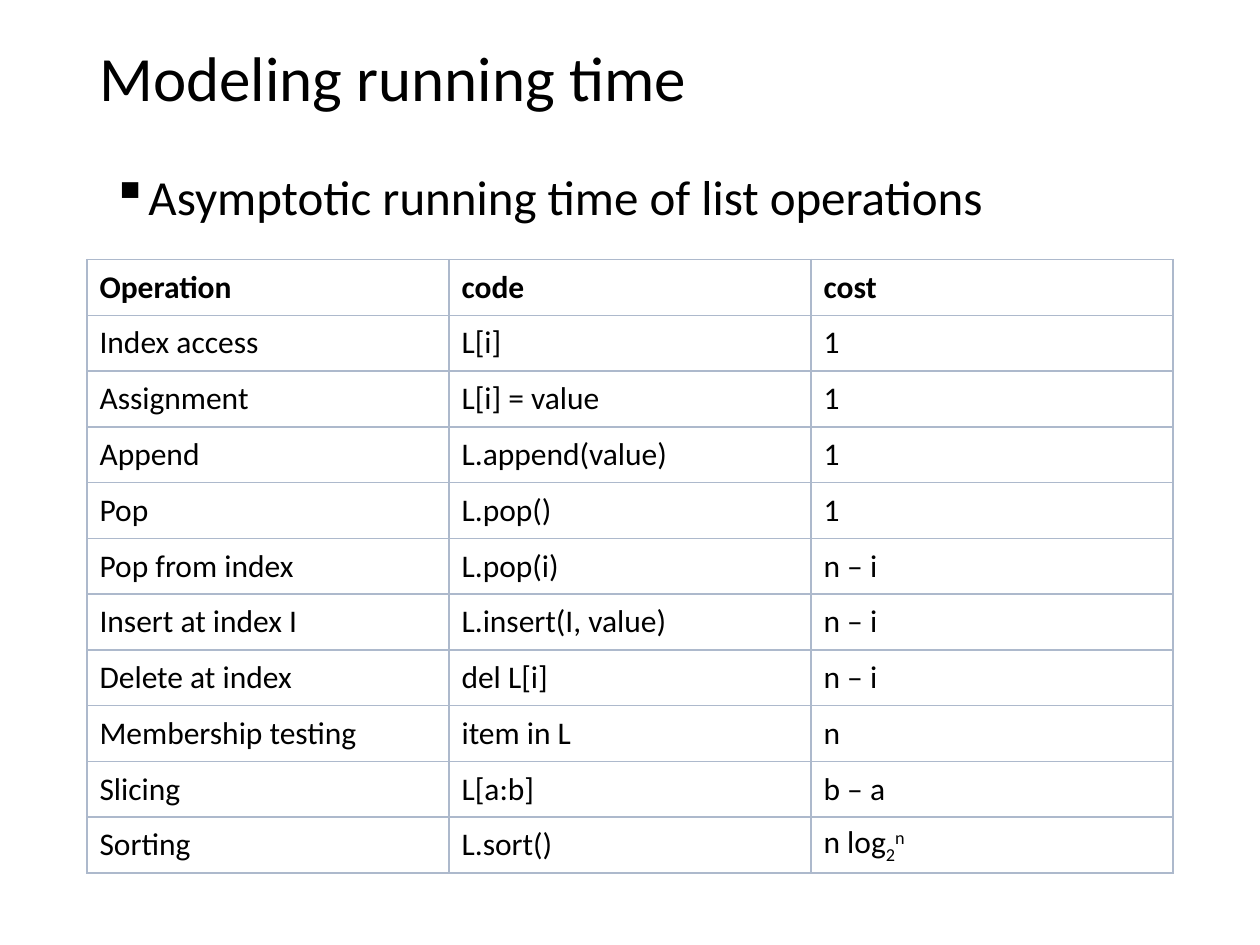
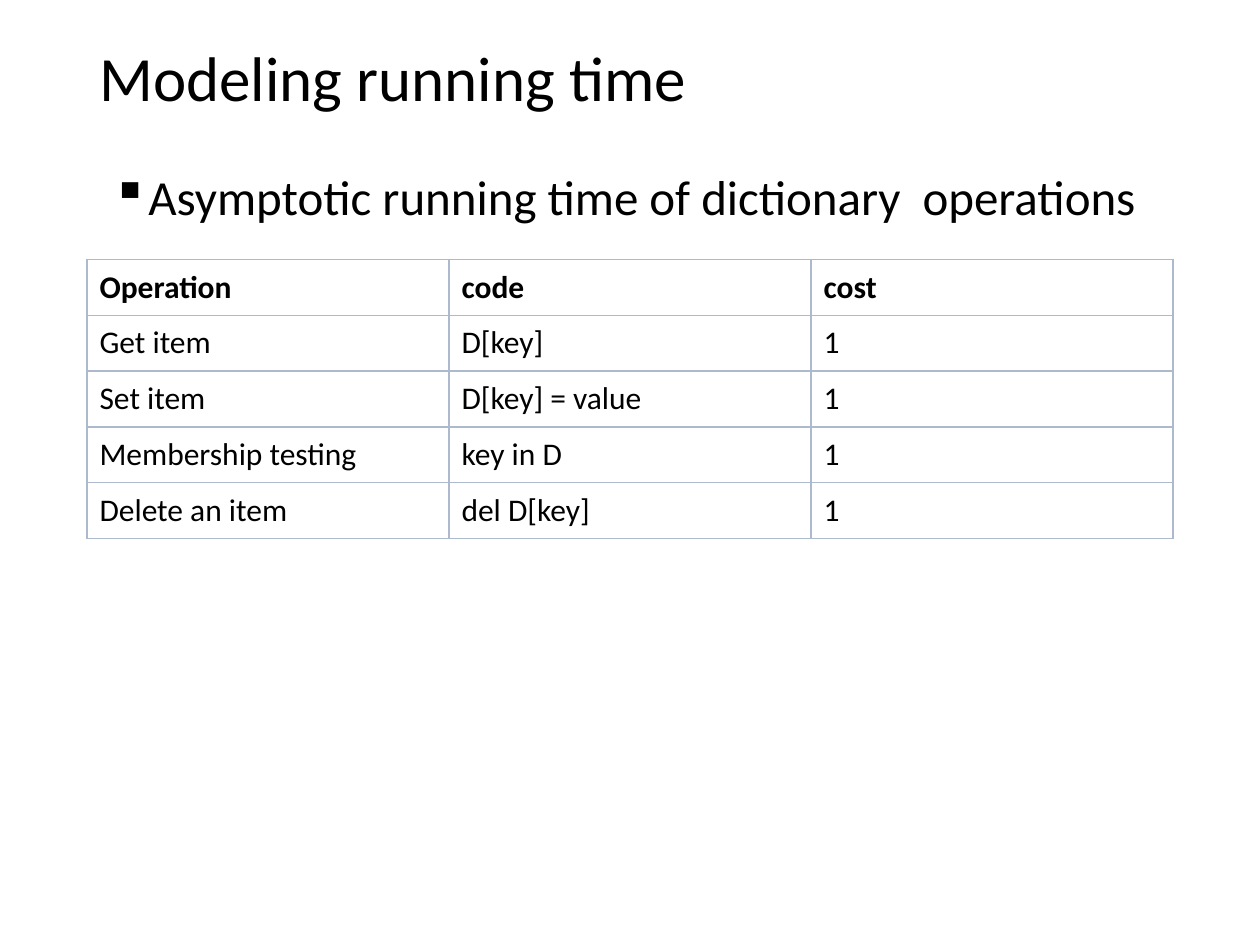
from lxml.etree import SubElement
from pptx import Presentation
from pptx.dml.color import RGBColor
from pptx.enum.text import MSO_ANCHOR
from pptx.oxml import parse_xml
from pptx.oxml.ns import nsdecls, qn
from pptx.util import Inches, Pt

BLACK, WHITE, RULE = "000000", "FFFFFF", "ADB9CC"
LEFT, WIDTH = 0.69, 8.62
ROW_HEIGHT = 4.87 / 11
HEADINGS = ("Operation", "code", "cost")
SORT_COST = (("n log", 0), ("2", -25), ("n", 30))

LIST_COSTS = [
    ("Index access", "L[i]", "1"),
    ("Assignment", "L[i] = value", "1"),
    ("Append", "L.append(value)", "1"),
    ("Pop", "L.pop()", "1"),
    ("Pop from index", "L.pop(i)", "n – i"),
    ("Insert at index I", "L.insert(I, value)", "n – i"),
    ("Delete at index", "del L[i]", "n – i"),
    ("Membership testing", "item in L", "n"),
    ("Slicing", "L[a:b]", "b – a"),
    ("Sorting", "L.sort()", SORT_COST),
]
DICTIONARY_COSTS = [
    ("Get item", "D[key]", "1"),
    ("Set item", "D[key] = value", "1"),
    ("Membership testing", "key in D", "1"),
    ("Delete an item", "del D[key]", "1"),
]


def rgb(value):
    """Turn a hex string into a colour."""
    return RGBColor.from_string(value)


def write(frame, text, size=18, bold=False, color=BLACK, spacing=None, bullet=None):
    """Write one paragraph; text is a string or (text, baseline percent) pairs."""
    paragraph = frame.paragraphs[0]
    if spacing:
        paragraph.line_spacing = spacing
    if bullet:
        properties = paragraph._p.get_or_add_pPr()
        properties.set("marL", str(Inches(0.25)))
        properties.set("indent", str(-Inches(0.25)))
        SubElement(properties, qn("a:buChar")).set("char", bullet)
    pieces = [(text, 0)] if isinstance(text, str) else text
    for piece, baseline in pieces:
        run = paragraph.add_run()
        run.text = piece
        run.font.name = "Calibri"
        run.font.size = Pt(size)
        run.font.bold = bold
        run.font.color.rgb = rgb(color)
        if baseline:
            run.font._element.set("baseline", str(baseline * 1000))


class Deck:
    """The shared style and the slide being filled."""

    def __init__(self):
        """Start an empty 4:3 presentation."""
        self.presentation = Presentation()
        self.presentation.slide_width = Inches(10)
        self.presentation.slide_height = Inches(7.5)
        self.slide = None

    def new_slide(self):
        """Add a blank white slide and make it current."""
        self.slide = self.presentation.slides.add_slide(self.presentation.slide_layouts[6])
        background = self.slide.background.fill
        background.solid()
        background.fore_color.rgb = rgb(WHITE)

    def text(self, text, left, top, width, height, anchor=MSO_ANCHOR.TOP, **style):
        """Add a wrapping text box."""
        box = self.slide.shapes.add_textbox(
            Inches(left), Inches(top), Inches(width), Inches(height))
        box.text_frame.word_wrap = True
        box.text_frame.vertical_anchor = anchor
        write(box.text_frame, text, **style)

    def title(self, text):
        """Add the slide title."""
        self.text(text, LEFT, 0.03, WIDTH, 1.23, MSO_ANCHOR.MIDDLE, size=36, spacing=0.9)

    def topic(self, text, width):
        """Add the bulleted line above the table."""
        self.text(text, 0.79, 1.04, width, 0.93, size=28, spacing=1.5, bullet="▪")

    def cost_table(self, costs):
        """Add a ruled table of operations under the shared headings."""
        rows = [HEADINGS, *costs]
        table = self.slide.shapes.add_table(
            len(rows), len(HEADINGS), Inches(LEFT), Inches(2.06),
            Inches(WIDTH), Inches(ROW_HEIGHT * len(rows))).table
        table.horz_banding = False
        for row_index, row in enumerate(rows):
            for column_index, text in enumerate(row):
                cell = table.cell(row_index, column_index)
                cell.vertical_anchor = MSO_ANCHOR.MIDDLE
                cell.fill.solid()
                cell.fill.fore_color.rgb = rgb(WHITE)
                write(cell.text_frame, text, bold=row_index == 0)
                self.rule(cell)

    def rule(self, cell):
        """Draw a thin line on all four sides of a cell."""
        properties = cell._tc.get_or_add_tcPr()
        for position, side in enumerate("LRTB"):
            properties.insert(position, parse_xml(
                f'<a:ln{side} {nsdecls("a")} w="{Pt(1)}"><a:solidFill>'
                f'<a:srgbClr val="{RULE}"/></a:solidFill></a:ln{side}>'))


deck = Deck()
for topic, topic_width, costs in (
    ("Asymptotic running time of list operations", 8.19, LIST_COSTS),
    ("Asymptotic running time of dictionary  operations", 8.53, DICTIONARY_COSTS),
):
    deck.new_slide()
    deck.title("Modeling running time")
    deck.topic(topic, topic_width)
    deck.cost_table(costs)
deck.presentation.save("out.pptx")
